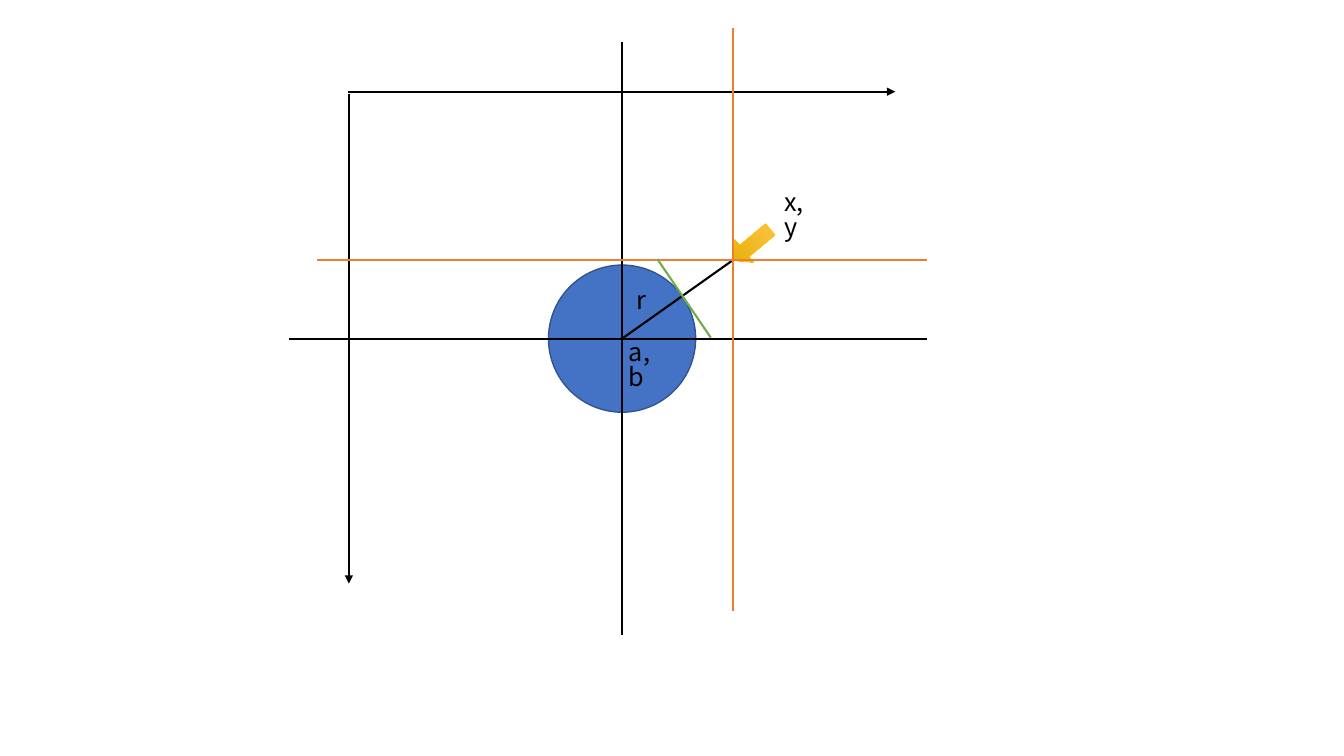
from dataclasses import dataclass

from lxml import etree
from pptx import Presentation
from pptx.dml.color import RGBColor
from pptx.enum.shapes import MSO_CONNECTOR, MSO_SHAPE
from pptx.oxml.ns import qn
from pptx.util import Inches, Pt

STRAIGHT = MSO_CONNECTOR.STRAIGHT
ELLIPSE = MSO_SHAPE.OVAL
DOWN_ARROW = MSO_SHAPE.DOWN_ARROW

FONT = "Noto Sans CJK SC"
BLACK, ORANGE, GREEN = "000000", "ED7D31", "70AD47"
BLUE, DARK_BLUE, GOLD = "4472C4", "325491", "FFC000"
POINTER_GRADIENT = ("FFC64B", "E3AB00")

CENTRE_X, CENTRE_Y = 6.17, 3.36
RADIUS = 0.73
POINT_X, POINT_Y = 7.27, 2.58


@dataclass(frozen=True)
class Segment:
    x1: float
    y1: float
    x2: float
    y2: float
    color: str = BLACK
    arrow: bool = False


@dataclass(frozen=True)
class Label:
    text: str
    left: float
    top: float
    width: float


SCREEN_AXES = [
    Segment(3.45, 0.91, 8.88, 0.91, arrow=True),
    Segment(3.46, 0.93, 3.46, 5.79, arrow=True),
]
CIRCLE_AXES = [
    Segment(CENTRE_X, 6.3, CENTRE_X, 0.42),
    Segment(2.87, CENTRE_Y, 9.19, CENTRE_Y),
]
POINT_LINES = [
    Segment(CENTRE_X, CENTRE_Y, POINT_X, POINT_Y),
    Segment(9.19, POINT_Y, 3.14, POINT_Y, ORANGE),
    Segment(POINT_X, 6.06, POINT_X, 0.28, ORANGE),
]
TANGENT = Segment(6.52, 2.57, 7.05, 3.35, GREEN)
LABELS = [
    Label("x, y", 7.68, 1.85, 0.55),
    Label("a, b", 6.14, 3.34, 0.6),
    Label("r", 6.21, 2.82, 0.29),
]


def rgb(color: str) -> RGBColor:
    return RGBColor.from_string(color)


def draw_segment(shapes, segment: Segment) -> None:
    ends = (segment.x1, segment.y1, segment.x2, segment.y2)
    connector = shapes.add_connector(STRAIGHT, *map(Inches, ends))
    connector.line.color.rgb = rgb(segment.color)
    connector.line.width = Pt(1.5)
    if segment.arrow:
        outline = connector.line._get_or_add_ln()
        etree.SubElement(outline, qn("a:tailEnd"), type="triangle")
    etree.SubElement(connector._element.spPr, qn("a:effectLst"))


def draw_circle(shapes) -> None:
    box = (CENTRE_X - RADIUS, CENTRE_Y - RADIUS, 2 * RADIUS, 2 * RADIUS)
    circle = shapes.add_shape(ELLIPSE, *map(Inches, box))
    circle.shadow.inherit = False
    circle.fill.solid()
    circle.fill.fore_color.rgb = rgb(BLUE)
    circle.line.color.rgb = rgb(DARK_BLUE)
    circle.line.width = Pt(1)


def draw_pointer(shapes) -> None:
    """Draw the gold arrow that marks the outer point."""
    pointer = shapes.add_shape(DOWN_ARROW, *map(Inches, (7.31, 2.19, 0.29, 0.48)))
    pointer.shadow.inherit = False
    pointer.rotation = 50.1
    pointer.fill.gradient()
    pointer.fill.gradient_angle = 270
    for stop, color in zip(pointer.fill.gradient_stops, POINTER_GRADIENT):
        stop.color.rgb = rgb(color)
    pointer.line.color.rgb = rgb(GOLD)
    pointer.line.width = Pt(0.5)


def draw_label(shapes, label: Label) -> None:
    box = (label.left, label.top, label.width, 0.4)
    frame = shapes.add_textbox(*map(Inches, box)).text_frame
    frame.word_wrap = True
    paragraph = frame.paragraphs[0]
    paragraph.line_spacing = 0.82
    run = paragraph.add_run()
    run.text = label.text
    for name, value in {"name": FONT, "size": Pt(18)}.items():
        setattr(run.font, name, value)
    run.font.color.rgb = rgb(BLACK)


def main() -> None:
    deck = Presentation()
    deck.slide_width, deck.slide_height = Inches(13.33), Inches(7.5)
    shapes = deck.slides.add_slide(deck.slide_layouts[6]).shapes

    for axis in SCREEN_AXES:
        draw_segment(shapes, axis)
    draw_circle(shapes)
    for axis in CIRCLE_AXES:
        draw_segment(shapes, axis)
    draw_pointer(shapes)
    for line in POINT_LINES:
        draw_segment(shapes, line)
    for label in LABELS:
        draw_label(shapes, label)
    draw_segment(shapes, TANGENT)
    deck.save("out.pptx")


if __name__ == "__main__":
    main()
